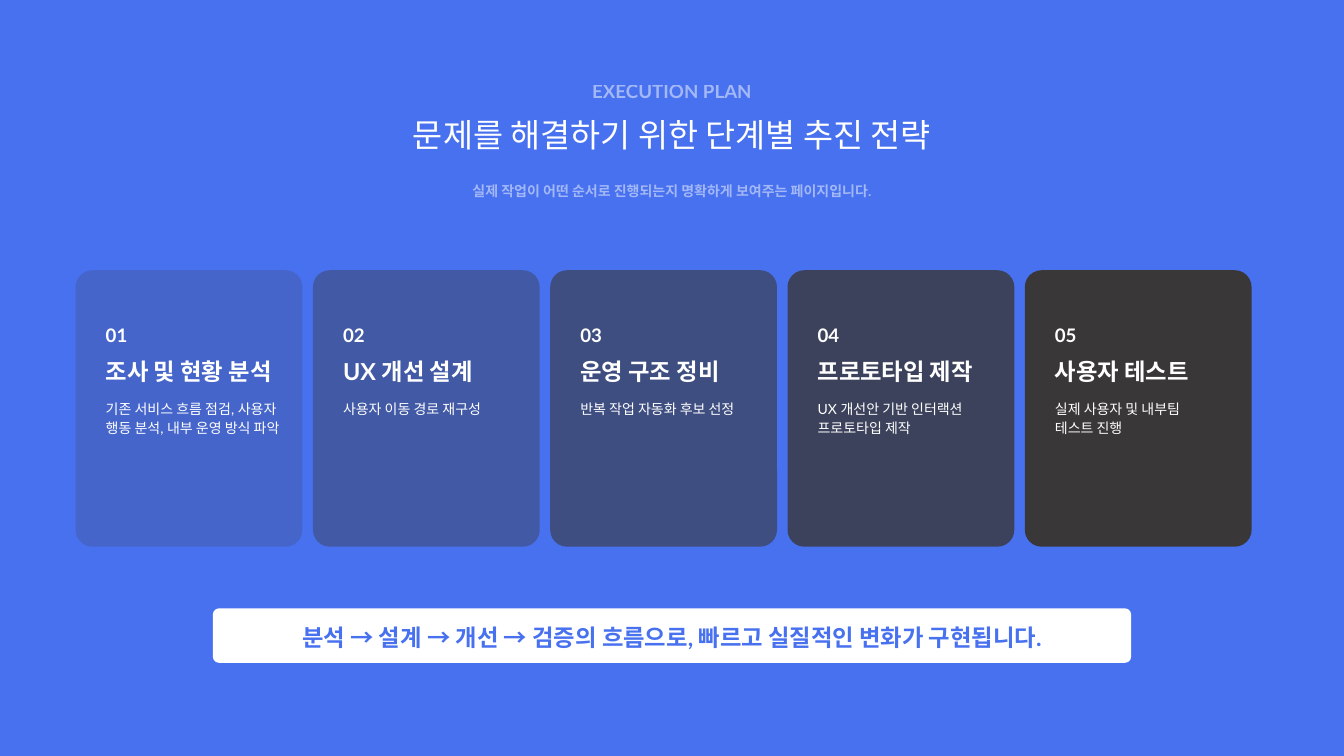
import dataclasses

import pptx
import pptx.dml.color
import pptx.enum.shapes
import pptx.enum.text
import pptx.oxml.ns
import pptx.util
from lxml import etree

PX = 9525
ALIGN = pptx.enum.text.PP_ALIGN


@dataclasses.dataclass(frozen=True)
class Theme:
    blue: str = "4871EF"
    white: str = "FFFFFF"
    charcoal: str = "393737"
    latin: str = "Lato"
    korean: str = "Noto Sans CJK KR"
    title: int = 35
    heading: int = 25
    label: int = 20
    body: int = 15
    leading: float = 1.4


THEME = Theme()

STEPS = [
    ("조사 및 현황 분석", "기존 서비스 흐름 점검, 사용자\n행동 분석, 내부 운영 방식 파악"),
    ("UX 개선 설계", "사용자 이동 경로 재구성"),
    ("운영 구조 정비", "반복 작업 자동화 후보 선정"),
    ("프로토타입 제작", "UX 개선안 기반 인터랙션\n프로토타입 제작"),
    ("사용자 테스트", "실제 사용자 및 내부팀\n테스트 진행"),
]


def px(*lengths):
    return [pptx.util.Emu(length * PX) for length in lengths]


def set_alpha(element, percent):
    """Make the colour inside a fill or run element partly transparent."""
    if percent < 100:
        color = element.find(".//" + pptx.oxml.ns.qn("a:srgbClr"))
        etree.SubElement(color, pptx.oxml.ns.qn("a:alpha"), val=str(percent * 1000))


def write_text(shape, text, size, color=THEME.white, bold=True, align=ALIGN.LEFT,
               font_name=THEME.latin, alpha=100):
    frame = shape.text_frame
    frame.text = text
    frame.word_wrap = True
    frame.auto_size = pptx.enum.text.MSO_AUTO_SIZE.SHAPE_TO_FIT_TEXT
    frame.vertical_anchor = pptx.enum.text.MSO_ANCHOR.TOP
    frame.margin_left = frame.margin_right = frame.margin_top = frame.margin_bottom = 0
    for paragraph in frame.paragraphs:
        paragraph.alignment = align
        paragraph.line_spacing = pptx.util.Pt(round(size * THEME.leading))
        for run in paragraph.runs:
            run.font.name = font_name
            run.font.size = pptx.util.Pt(size)
            run.font.bold = bold
            run.font.color.rgb = pptx.dml.color.RGBColor.from_string(color)
            properties = run._r.get_or_add_rPr()
            set_alpha(properties, alpha)
            etree.SubElement(properties, pptx.oxml.ns.qn("a:ea"), typeface=THEME.korean)


def add_text(slide, left, top, width, height, text, size, **style):
    shape = slide.shapes.add_textbox(*px(left, top, width, height))
    write_text(shape, text, size, **style)


def add_panel(slide, left, top, width, height, radius, color, alpha=100):
    shape = slide.shapes.add_shape(
        pptx.enum.shapes.MSO_SHAPE.ROUNDED_RECTANGLE, *px(left, top, width, height))
    shape.adjustments[0] = radius / min(width, height)
    shape.shadow.inherit = False
    shape.line.fill.background()
    shape.fill.solid()
    shape.fill.fore_color.rgb = pptx.dml.color.RGBColor.from_string(color)
    set_alpha(shape._element.spPr, alpha)


def add_header(slide, left, top, width):
    add_text(slide, left, top, width, 36, "EXECUTION PLAN", THEME.label,
             align=ALIGN.CENTER, alpha=50)
    title = slide.shapes.title
    title.left, title.top, title.width, title.height = px(left, top + 46, width, 63)
    write_text(title, "문제를 해결하기 위한 단계별 추진 전략", THEME.title, bold=False,
               align=ALIGN.CENTER, font_name=THEME.korean)
    add_text(slide, left, top + 148, width, 27,
             "실제 작업이 어떤 순서로 진행되는지 명확하게 보여주는 페이지입니다.", THEME.body,
             align=ALIGN.CENTER, alpha=50)


def add_step_card(slide, left, top, width, height, number, heading, details, alpha):
    inset = 43
    text_left, text_width = left + inset, width - inset
    add_panel(slide, left, top, width, height, 24, THEME.charcoal, alpha)
    add_text(slide, text_left, top + 71, text_width, 36, f"{number:02d}", THEME.label)
    add_text(slide, text_left, top + 117, text_width, 44, heading, THEME.heading)
    add_text(slide, text_left, top + 182, text_width, 27 * len(details.splitlines()),
             details, THEME.body, bold=False)


def add_steps(slide, left, top, width, height, gap):
    """Lay the cards out in a row, each one more opaque than the last."""
    count = len(STEPS)
    card_width = (width - gap * (count - 1)) // count
    for index, (heading, details) in enumerate(STEPS):
        add_step_card(slide, left + index * (card_width + gap), top, card_width, height,
                      index + 1, heading, details, 100 * (index + 1) // count)


def add_banner(slide, left, top, width, height):
    inset = 61
    add_panel(slide, left, top, width, height, 9, THEME.white)
    add_text(slide, left + inset, top + 14, width - 2 * inset, 44,
             "분석 → 설계 → 개선 → 검증의 흐름으로, 빠르고 실질적인 변화가 구현됩니다.",
             THEME.heading, color=THEME.blue, align=ALIGN.CENTER)


def main():
    presentation = pptx.Presentation()
    presentation.slide_width, presentation.slide_height = px(1920, 1080)
    slide = presentation.slides.add_slide(presentation.slide_layouts.get_by_name("Title Only"))
    slide.background.fill.solid()
    slide.background.fill.fore_color.rgb = pptx.dml.color.RGBColor.from_string(THEME.blue)
    add_header(slide, 476, 109, 968)
    add_steps(slide, 108, 386, 1680, 395, 15)
    add_banner(slide, 304, 869, 1312, 78)
    presentation.save("out.pptx")


if __name__ == "__main__":
    main()
